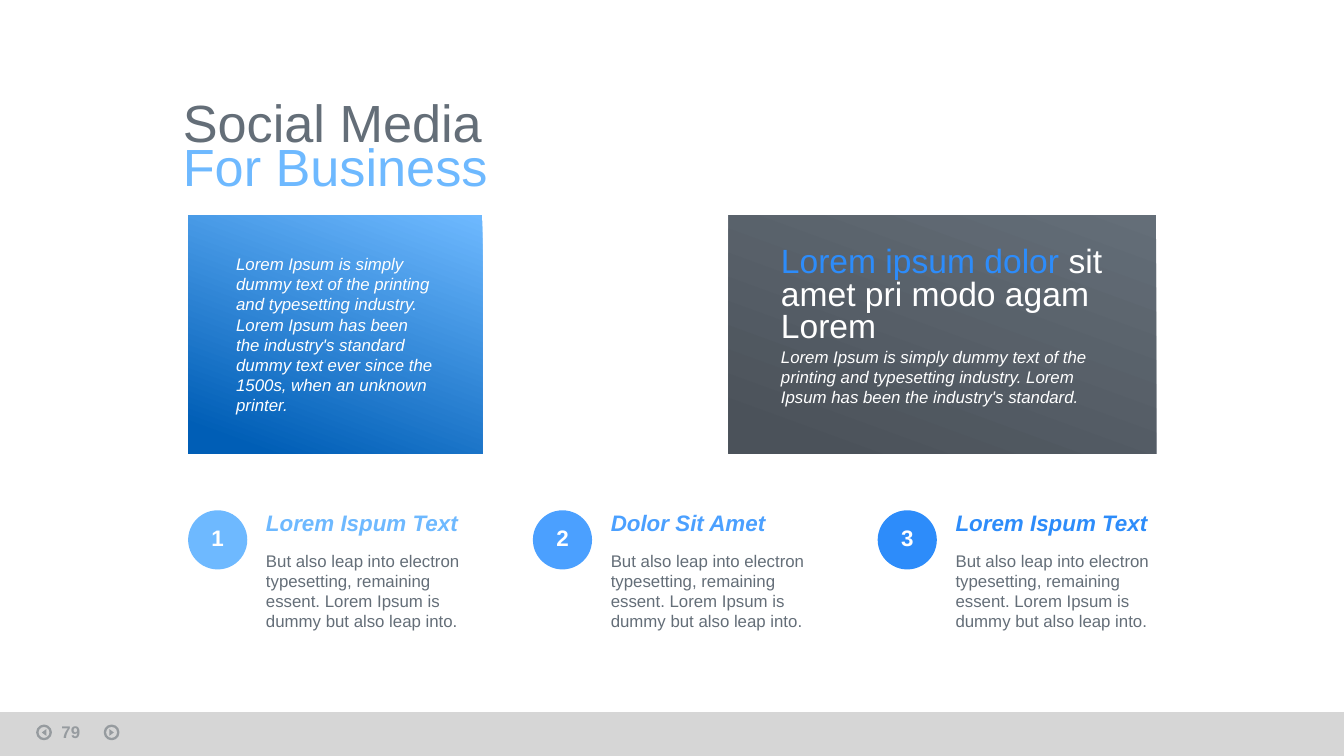
import pptx
import pptx.util
import pptx.dml.color
import pptx.enum.shapes
import pptx.enum.text
import lxml.etree
import pptx.oxml.ns

Pt = pptx.util.Pt
RGB = pptx.dml.color.RGBColor
KIND = pptx.enum.shapes.MSO_SHAPE
ALIGN = pptx.enum.text.PP_ALIGN
ANCHOR = pptx.enum.text.MSO_ANCHOR
qn = pptx.oxml.ns.qn

WHITE = RGB(0xFF, 0xFF, 0xFF)
SILVER = RGB(0xD2, 0xD2, 0xD2)
INK = RGB(0x05, 0x14, 0x23)
GRAY = RGB(0x64, 0x6E, 0x78)
SLATE = RGB(0x4B, 0x52, 0x5A)
SKY = RGB(0x6E, 0xB9, 0xFF)
AZURE = RGB(0x4B, 0xA0, 0xFF)
BLUE = RGB(0x2D, 0x8C, 0xFA)
NAVY = RGB(0x00, 0x5E, 0xB6)

TITLE = [[("Social Media", GRAY)], [("For Business", SKY)]]
INTRO = ("Lorem Ipsum is simply dummy text of the printing and typesetting industry. "
         "Lorem Ipsum has been the industry's standard dummy text ever since the 1500s, "
         "when an unknown printer.")
LEAD = [[("Lorem ipsum dolor ", BLUE), ("sit amet pri modo agam Lorem", WHITE)]]
NOTE = ("Lorem Ipsum is simply dummy text of the printing and typesetting industry. "
        "Lorem Ipsum has been the industry's standard.")
BODY = ("But also leap into electron typesetting, remaining essent. "
        "Lorem Ipsum is dummy but also leap into.")
ITEMS = [("Lorem Ispum Text", SKY), ("Dolor Sit Amet", AZURE), ("Lorem Ispum Text", BLUE)]
PANELS = [(100.8, 157.7, SKY, NAVY), (390.4, 229, GRAY, SLATE)]
ARROWS = [(59.8, 90), (23.6, 270)]
PAGE = "79"

deck = pptx.Presentation()
deck.slide_width, deck.slide_height = Pt(720), Pt(405)
slide = deck.slides.add_slide(deck.slide_layouts[6])


def fade(part, share):
    for tone in part.iter(qn("a:srgbClr")):
        lxml.etree.SubElement(tone, qn("a:alpha")).set("val", str(share * 1000))


def shape(kind, left, top, width, height, color=None):
    item = slide.shapes.add_shape(kind, Pt(left), Pt(top), Pt(width), Pt(height))
    item.shadow.inherit = False
    item.line.fill.background()
    if color is None:
        item.fill.background()
    else:
        item.fill.solid()
        item.fill.fore_color.rgb = color
    return item


def text(left, top, width, height, paras, size, space=1, bold=False,
         slant=False, align=ALIGN.LEFT, anchor=ANCHOR.MIDDLE):
    box = slide.shapes.add_textbox(Pt(left), Pt(top), Pt(width), Pt(height))
    frame = box.text_frame
    frame.word_wrap = True
    frame.vertical_anchor = anchor
    frame.margin_left = frame.margin_right = 0
    frame.margin_top = frame.margin_bottom = 0
    for n, runs in enumerate(paras):
        para = frame.paragraphs[0] if n == 0 else frame.add_paragraph()
        para.alignment = align
        para.line_spacing = space
        for words, color in runs:
            run = para.add_run()
            run.text = words
            font = run.font
            font.name, font.size = "Arial", Pt(size)
            font.bold, font.italic = bold, slant
            font.color.rgb = color
    return box


bar = shape(KIND.RECTANGLE, 0, 381.5, 720, 23.5, SILVER)
fade(bar.fill._xPr, 90)

for mid, turn in ARROWS:
    ring = shape(KIND.OVAL, mid - 3.6, 388.8, 7.2, 7.2)
    ring.line.color.rgb = INK
    ring.line.width = Pt(1.25)
    tip = shape(KIND.ISOSCELES_TRIANGLE, mid - 1.8, 391.2, 3.6, 2.4, INK)
    tip.rotation = turn
    for part in (ring, tip):
        fade(part._element.spPr, 30)

text(98, 46.8, 166, 68.4, TITLE, 28, 0.7)

for left, width, light, dark in PANELS:
    panel = shape(KIND.RECTANGLE, left, 115.2, width, 127.8)
    panel.fill.gradient()
    panel.fill.gradient_angle = 250
    for stop, color, place in zip(panel.fill.gradient_stops, (light, dark), (0, 0.92)):
        stop.color.rgb = color
        stop.position = place

text(126.5, 138.2, 106, 82.1, [[(INTRO, WHITE)]], 9, slant=True)
text(418.4, 137.5, 172.8, 42.5, LEAD, 18, 0.8)
text(418.4, 183.6, 172.8, 36.7, [[(NOTE, WHITE)]], 9, slant=True)

for n, (head, color) in enumerate(ITEMS):
    left = 100.8 + n * 184.7
    shape(KIND.OVAL, left, 273.4, 31.7, 31.7, color)
    text(left + 2.9, 279.1, 25.9, 20.9, [[(str(n + 1), WHITE)]], 12, 0.7,
         bold=True, align=ALIGN.CENTER)
    text(left + 41.7, 269.3, 107.3, 23.8, [[(head, color)]], 12, 0.8,
         bold=True, slant=True)
    text(left + 41.7, 292.5, 107.3, 48.2, [[(BODY, GRAY)]], 9)

page = text(32.9, 386.6, 24, 11, [[(PAGE, INK)]], 9, bold=True, anchor=ANCHOR.TOP)
fade(page._element, 30)

deck.save("out.pptx")
